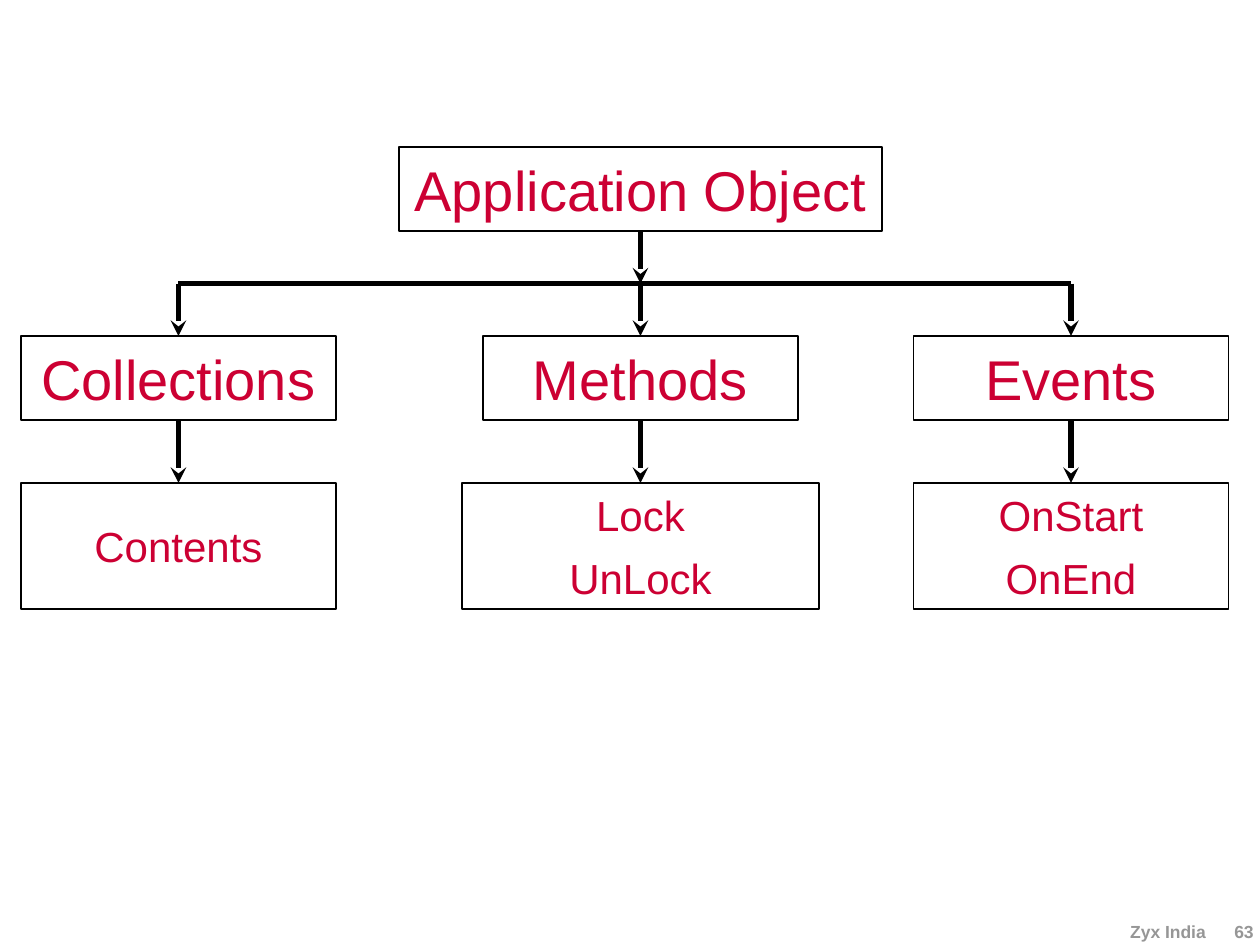
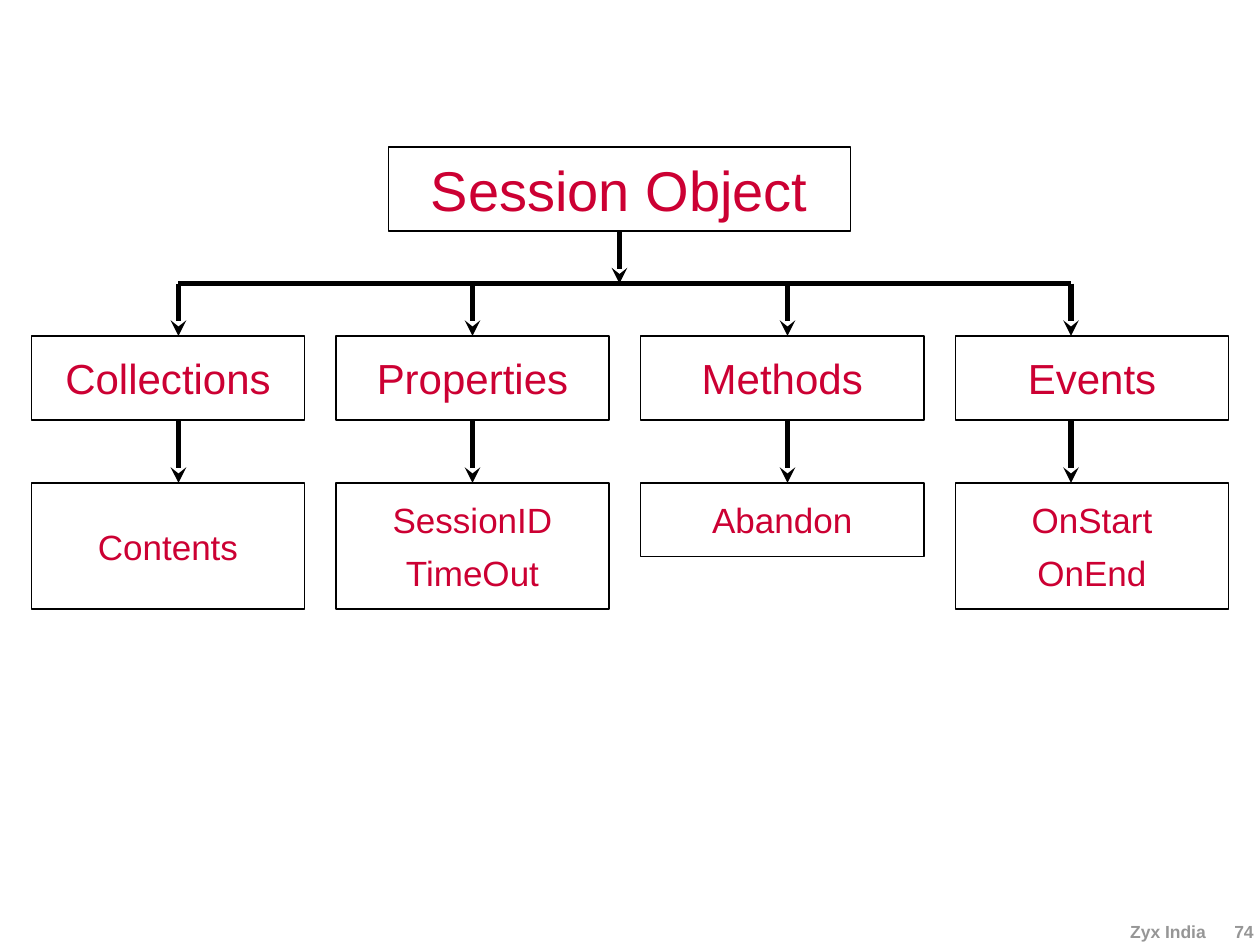
import pptx
import pptx.util
import pptx.dml.color
import pptx.enum.shapes
import pptx.enum.text
import pptx.oxml.ns
from collections import namedtuple
from lxml import etree

Inches = pptx.util.Inches
Column = namedtuple("Column", "label left width arrow items child_left child_width child_height")


def column(label, left, width, arrow, items, child_left=None, child_width=None, child_height=12):
    return Column(label, left, width, arrow, items, child_left or left, child_width or width, child_height)


DIAGRAMS = [
    {
        "root": ("Application Object", 38, 46),
        "number": "63",
        "label_size": 32,
        "item_size": 24,
        "columns": [
            column("Collections", 2, 30, 17, ["Contents"]),
            column("Methods", 46, 30, 61, ["Lock", "UnLock"], child_left=44, child_width=34),
            column("Events", 87, 30, 102, ["OnStart", "OnEnd"]),
        ],
    },
    {
        "root": ("Session Object", 37, 44),
        "number": "74",
        "label_size": 24,
        "item_size": 20,
        "columns": [
            column("Collections", 3, 26, 17, ["Contents"]),
            column("Properties", 32, 26, 45, ["SessionID", "TimeOut"]),
            column("Methods", 61, 27, 75, ["Abandon"], child_height=7),
            column("Events", 91, 26, 102, ["OnStart", "OnEnd"]),
        ],
    },
]
FOOTER = "Zyx India"
COLOURS = {"text": "CC0033", "line": "000000", "footer": "969696"}
FONT = "Arial"
ROOT_SIZE = 32
GRID = Inches(1) // 12
ROOT_TOP, BAR_TOP, LABEL_TOP, CHILD_TOP, LABEL_HEIGHT = 14, 27, 32, 46, 8
TOP, BOTTOM = 0, 2


def colour(name):
    return pptx.dml.color.RGBColor.from_string(COLOURS[name])


def write(shape, lines, size, color="text", bold=False, align="CENTER", anchor="MIDDLE", margins=(0.1, 0.05)):
    frame = shape.text_frame
    frame.word_wrap = False
    frame.vertical_anchor = pptx.enum.text.MSO_ANCHOR[anchor]
    frame.margin_left = frame.margin_right = Inches(margins[0])
    frame.margin_top = frame.margin_bottom = Inches(margins[1])
    for index, line in enumerate(lines):
        paragraph = frame.add_paragraph() if index else frame.paragraphs[0]
        paragraph.alignment = pptx.enum.text.PP_ALIGN[align]
        paragraph.space_before = pptx.util.Pt(0.3 * size if index else 0)
        run = paragraph.add_run()
        run.text = line
        run.font.name = FONT
        run.font.size = pptx.util.Pt(size)
        run.font.bold = bold
        run.font.color.rgb = colour(color)


def add_box(slide, lines, left, top, width, height, size):
    shape = slide.shapes.add_shape(
        pptx.enum.shapes.MSO_SHAPE.RECTANGLE, left * GRID, top * GRID, width * GRID, height * GRID)
    shape.shadow.inherit = False
    shape.fill.background()
    shape.line.color.rgb = colour("line")
    shape.line.width = pptx.util.Pt(0.75)
    write(shape, lines, size)
    return shape


def is_centred(shape, x):
    return shape is not None and shape.left + shape.width // 2 == x * GRID


def add_line(slide, start, end, arrow=True, source=None, target=None):
    connector = slide.shapes.add_connector(
        pptx.enum.shapes.MSO_CONNECTOR.STRAIGHT, *[value * GRID for value in start + end])
    if is_centred(source, start[0]):
        connector.begin_connect(source, BOTTOM)
    if is_centred(target, end[0]):
        connector.end_connect(target, TOP)
    connector.line.color.rgb = colour("line")
    connector.line.width = pptx.util.Pt(3)
    if arrow:
        line = connector.line._get_or_add_ln()
        etree.SubElement(line, pptx.oxml.ns.qn("a:tailEnd"), type="stealth")
    etree.SubElement(connector._element.spPr, pptx.oxml.ns.qn("a:effectLst"))


def add_footer(slide, number):
    for text, right, width in [(FOOTER, 9.57, 2), (number, 9.95, 0.3)]:
        box = slide.shapes.add_textbox(Inches(right - width), Inches(7.31), Inches(width), Inches(0.17))
        write(box, [text], 10, color="footer", bold=True, align="RIGHT", anchor="BOTTOM", margins=(0, 0))


def build_diagram(slide, diagram):
    add_footer(slide, diagram["number"])
    label, left, width = diagram["root"]
    root = add_box(slide, [label], left, ROOT_TOP, width, LABEL_HEIGHT, ROOT_SIZE)
    middle = left + width // 2
    columns = diagram["columns"]
    add_line(slide, (middle, ROOT_TOP + LABEL_HEIGHT), (middle, BAR_TOP), source=root)
    add_line(slide, (columns[-1].arrow, BAR_TOP), (columns[0].arrow, BAR_TOP), arrow=False)
    for part in columns:
        heading = add_box(slide, [part.label], part.left, LABEL_TOP, part.width, LABEL_HEIGHT,
                          diagram["label_size"])
        child = add_box(slide, part.items, part.child_left, CHILD_TOP, part.child_width,
                        part.child_height, diagram["item_size"])
        add_line(slide, (part.arrow, BAR_TOP), (part.arrow, LABEL_TOP), target=heading)
        add_line(slide, (part.arrow, LABEL_TOP + LABEL_HEIGHT), (part.arrow, CHILD_TOP),
                 source=heading, target=child)


def main():
    presentation = pptx.Presentation()
    presentation.slide_width = Inches(10)
    presentation.slide_height = Inches(7.5)
    for diagram in DIAGRAMS:
        slide = presentation.slides.add_slide(presentation.slide_layouts[6])
        build_diagram(slide, diagram)
    presentation.save("out.pptx")


if __name__ == "__main__":
    main()
